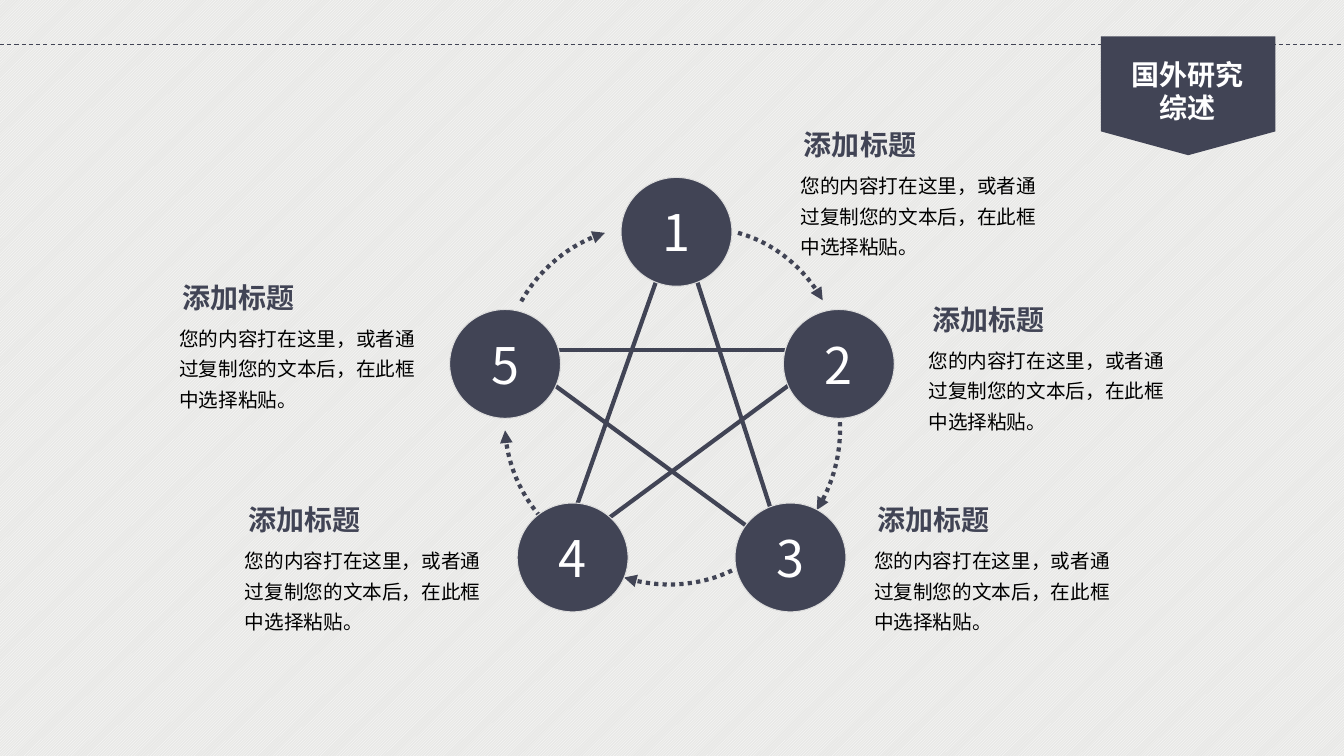
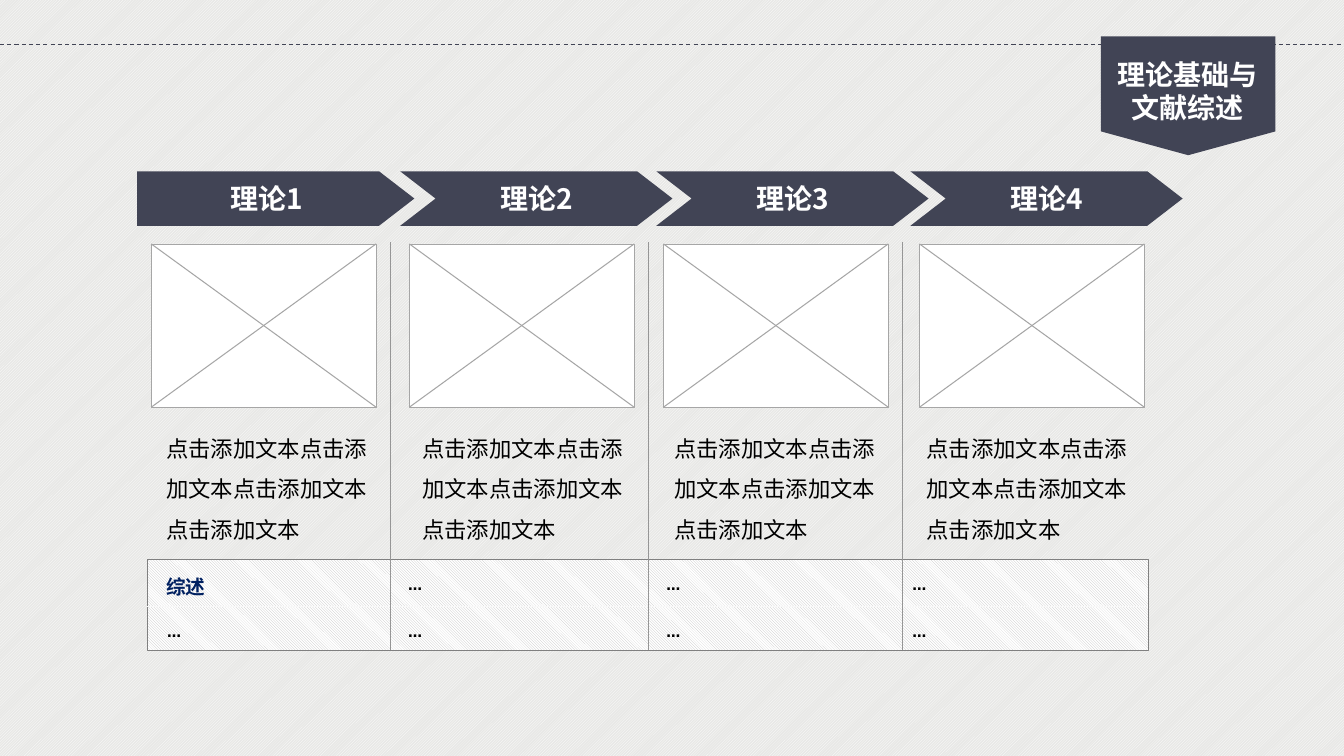
from dataclasses import dataclass

from lxml.etree import SubElement
from pptx import Presentation
from pptx.dml.color import RGBColor
from pptx.enum.dml import MSO_LINE, MSO_PATTERN
from pptx.enum.shapes import MSO_CONNECTOR, MSO_SHAPE
from pptx.enum.text import MSO_ANCHOR, MSO_AUTO_SIZE, PP_ALIGN
from pptx.oxml.ns import qn
from pptx.util import Inches, Pt


@dataclass(frozen=True)
class Theme:
    navy: str = "414455"
    white: str = "FFFFFF"
    black: str = "000000"
    paper: str = "E8E8E6"
    circle_edge: str = "DDDDDD"
    frame: str = "A6A6A6"
    divider: str = "969696"
    summary_edge: str = "808080"
    summary_hatch: str = "C0C0C0"
    summary_rule: str = "F8F8F8"
    summary_label: str = "002060"
    font: str = "Noto Sans CJK SC"
    summary_font: str = "DejaVu Sans"
    number: int = 36
    heading: int = 20
    column: int = 16
    body: int = 14
    small: int = 10


THEME = Theme()
WIDTH, HEIGHT = 13.33, 7.5

# Slide 1
CYCLE_TITLE = ["国外研究", "综述"]
HEADING = "添加标题"
BODY = "您的内容打在这里，或者通过复制您的文本后，在此框中选择粘贴。"
# circle left and top, heading left and top
NODES = [
    ((6.16, 1.76), (7.87, 1.22)),
    ((7.77, 3.07), (9.14, 2.95)),
    ((7.29, 4.99), (8.6, 4.94)),
    ((5.13, 4.99), (2.36, 4.94)),
    ((4.46, 3.07), (1.71, 2.73)),
]
CIRCLE = (1.1, 1.08)
STAR_POINTS = [(6.72, 2.19), (8.3, 3.47), (7.79, 5.5), (5.55, 5.5), (5.02, 3.47)]
# Bézier control points of the arrow leaving each node
ARCS = [
    [(7.32, 2.31), (7.68, 2.41), (7.98, 2.66), (8.16, 2.98)],
    [(8.3, 3.94), (8.38, 4.33), (8.31, 4.73), (8.1, 5.06)],
    [(7.26, 5.66), (6.93, 5.82), (6.54, 5.84), (6.19, 5.73)],
    [(5.47, 5.24), (5.2, 4.99), (5.03, 4.64), (5.01, 4.27)],
    [(5.17, 2.99), (5.35, 2.67), (5.65, 2.42), (6, 2.31)],
]
ARC_STEPS = 16

# Slide 2
THEORY_TITLE = ["理论基础与", "文献综述"]
COLUMN_TEXT = "点击添加文本" * 4
SUMMARY = "综述"
ELLIPSIS = "…"
# left edges of the arrow, the frame, the text and the summary cell
COLUMNS = [
    ("理论1", 1.36, 1.5, 1.55, 1.56),
    ("理论2", 3.97, 4.06, 4.09, 3.95),
    ("理论3", 6.51, 6.58, 6.59, 6.51),
    ("理论4", 9.03, 9.12, 9.09, 8.95),
]
DIVIDERS = [3.87, 6.43, 8.95]
SUMMARY_LEFT, SUMMARY_TOP, SUMMARY_WIDTH, SUMMARY_HEIGHT = 1.46, 5.55, 9.93, 0.9
SUMMARY_ROWS = [5.67, 6.13]
FRAME_TOP, FRAME_WIDTH, FRAME_HEIGHT = 2.42, 2.23, 1.62
BAND_TOP, BAND_HEIGHT, BAND_TIP = 1.7, 0.54, 0.35


def rgb(color):
    return RGBColor.from_string(color)


def inches(*values):
    return [Inches(value) for value in values]


def set_pattern(fill, pattern, fore, back):
    fill.patterned()
    fill.pattern = pattern
    fill.fore_color.rgb = rgb(fore)
    fill.back_color.rgb = rgb(back)


def set_line(line, color, weight, dash=None):
    line.color.rgb = rgb(color)
    line.width = Pt(weight)
    if dash:
        line.dash_style = dash


def write(shape, lines, size, color, font=THEME.font, bold=False,
          align=PP_ALIGN.CENTER, spacing=None, wrap=False):
    frame = shape.text_frame
    frame.word_wrap = wrap
    for index, line in enumerate(lines):
        para = frame.paragraphs[0] if index == 0 else frame.add_paragraph()
        para.alignment = align
        if spacing:
            para.line_spacing = spacing
        span = para.add_run()
        span.text = line
        span.font.size = Pt(size)
        span.font.bold = bold
        span.font.color.rgb = rgb(color)
        span.font.name = font
        SubElement(span.font._element, qn("a:ea")).set("typeface", font)


def add_text(page, at, lines, size, color, anchor=MSO_ANCHOR.TOP, **style):
    box = page.shapes.add_textbox(*inches(*at))
    write(box, lines, size, color, **style)
    box.text_frame.vertical_anchor = anchor
    box.text_frame.auto_size = MSO_AUTO_SIZE.SHAPE_TO_FIT_TEXT


def add_shape(shapes, kind, at, fill=None, line=None):
    shape = shapes.add_shape(kind, *inches(*at))
    shape.shadow.inherit = False
    if fill:
        shape.fill.solid()
        shape.fill.fore_color.rgb = rgb(fill)
    if line:
        set_line(shape.line, *line)
    else:
        shape.line.fill.background()
    shape.text_frame.vertical_anchor = MSO_ANCHOR.MIDDLE
    return shape


def add_line(shapes, start, end, color, weight, dash=None):
    line = shapes.add_connector(MSO_CONNECTOR.STRAIGHT, *inches(*start, *end))
    set_line(line.line, color, weight, dash)
    SubElement(line._element.spPr, qn("a:effectLst"))


def add_arc(page, controls):
    """Draw a dotted arrow along a cubic Bézier curve."""
    points = []
    for step in range(ARC_STEPS + 1):
        t = step / ARC_STEPS
        weights = ((1 - t) ** 3, 3 * t * (1 - t) ** 2, 3 * t * t * (1 - t), t ** 3)
        points.append(inches(*(sum(w * value for w, value in zip(weights, axis))
                               for axis in zip(*controls))))
    builder = page.shapes.build_freeform(*points[0])
    builder.add_line_segments(points[1:], close=False)
    arc = builder.convert_to_shape()
    arc.shadow.inherit = False
    arc.fill.background()
    set_line(arc.line, THEME.navy, 3, MSO_LINE.ROUND_DOT)
    SubElement(arc.line._get_or_add_ln(), qn("a:tailEnd")).set("type", "triangle")


def add_page(deck, title):
    page = deck.slides.add_slide(deck.slide_layouts[6])
    add_line(page.shapes, (0, 0.44), (WIDTH, 0.44), THEME.navy, 0.75, MSO_LINE.DASH)
    add_shape(page.shapes, MSO_SHAPE.FLOWCHART_OFFPAGE_CONNECTOR,
              (10.92, 0.36, 1.73, 1.18), THEME.navy)
    add_text(page, (10.98, 0.52, 1.6, 0.77), title, THEME.heading, THEME.white, bold=True)
    return page


def build_cycle(deck):
    page = add_page(deck, CYCLE_TITLE)
    count = len(STAR_POINTS)
    for index, point in enumerate(STAR_POINTS):
        add_line(page.shapes, point, STAR_POINTS[(index + 2) % count], THEME.navy, 3)
    for controls in ARCS:
        add_arc(page, controls)
    for number, (corner, (left, top)) in enumerate(NODES, 1):
        circle = add_shape(page.shapes, MSO_SHAPE.OVAL, (*corner, *CIRCLE),
                           THEME.navy, (THEME.circle_edge, 0.75))
        write(circle, [str(number)], THEME.number, THEME.white)
        add_text(page, (left - 0.03, top + 0.39, 2.68, 1.02), [BODY], THEME.body,
                 THEME.black, align=PP_ALIGN.LEFT, spacing=1.3, wrap=True)
        add_text(page, (left, top, 1.32, 0.44), [HEADING], THEME.heading,
                 THEME.navy, bold=True)


def add_frame(page, left):
    """Draw an empty picture frame with crossed diagonals."""
    shapes = page.shapes.add_group_shape().shapes
    right, bottom = left + FRAME_WIDTH, FRAME_TOP + FRAME_HEIGHT
    add_shape(shapes, MSO_SHAPE.RECTANGLE, (left, FRAME_TOP, FRAME_WIDTH, FRAME_HEIGHT),
              THEME.white, (THEME.frame, 0.5))
    add_line(shapes, (left, FRAME_TOP), (right, bottom), THEME.frame, 0.75)
    add_line(shapes, (right, FRAME_TOP), (left, bottom), THEME.frame, 0.75)


def add_summary(page):
    panel = add_shape(page.shapes, MSO_SHAPE.RECTANGLE,
                      (SUMMARY_LEFT, SUMMARY_TOP, SUMMARY_WIDTH, SUMMARY_HEIGHT),
                      line=(THEME.summary_edge, 0.75))
    set_pattern(panel.fill, MSO_PATTERN.LIGHT_DOWNWARD_DIAGONAL,
                THEME.summary_hatch, THEME.white)
    add_line(page.shapes, (SUMMARY_LEFT, 6.02), (SUMMARY_LEFT + SUMMARY_WIDTH, 6.02),
             THEME.summary_rule, 1)
    style = dict(font=THEME.summary_font, bold=True, align=PP_ALIGN.LEFT)
    add_text(page, (1.55, 5.65, 0.59, 0.34), [SUMMARY], THEME.body,
             THEME.summary_label, **style)
    for index, column in enumerate(COLUMNS):
        for top in SUMMARY_ROWS[1:] if index == 0 else SUMMARY_ROWS:
            add_text(page, (column[-1], top, 2.28, 0.27), [ELLIPSIS], THEME.small,
                     THEME.black, anchor=MSO_ANCHOR.MIDDLE, wrap=True, **style)


def build_theories(deck):
    page = add_page(deck, THEORY_TITLE)
    add_summary(page)
    for x in DIVIDERS:
        add_line(page.shapes, (x, 2.4), (x, SUMMARY_TOP + SUMMARY_HEIGHT),
                 THEME.divider, 0.25)
    for index, (name, band_left, frame_left, text_left, _) in enumerate(COLUMNS):
        kind, width = (MSO_SHAPE.CHEVRON, 2.7) if index else (MSO_SHAPE.PENTAGON, 2.75)
        band = add_shape(page.shapes, kind, (band_left, BAND_TOP, width, BAND_HEIGHT),
                         THEME.navy)
        band.adjustments[0] = BAND_TIP / BAND_HEIGHT
        write(band, [name], THEME.heading, THEME.white, bold=True)
        add_frame(page, frame_left)
        add_text(page, (text_left, 4.13, 2.2, 1.31), [COLUMN_TEXT], THEME.column,
                 THEME.black, anchor=MSO_ANCHOR.MIDDLE, align=PP_ALIGN.LEFT,
                 spacing=1.5, wrap=True)


def main():
    deck = Presentation()
    deck.slide_width, deck.slide_height = inches(WIDTH, HEIGHT)
    set_pattern(deck.slide_master.background.fill, MSO_PATTERN.LIGHT_UPWARD_DIAGONAL,
                THEME.white, THEME.paper)
    build_cycle(deck)
    build_theories(deck)
    deck.save("out.pptx")


if __name__ == "__main__":
    main()
